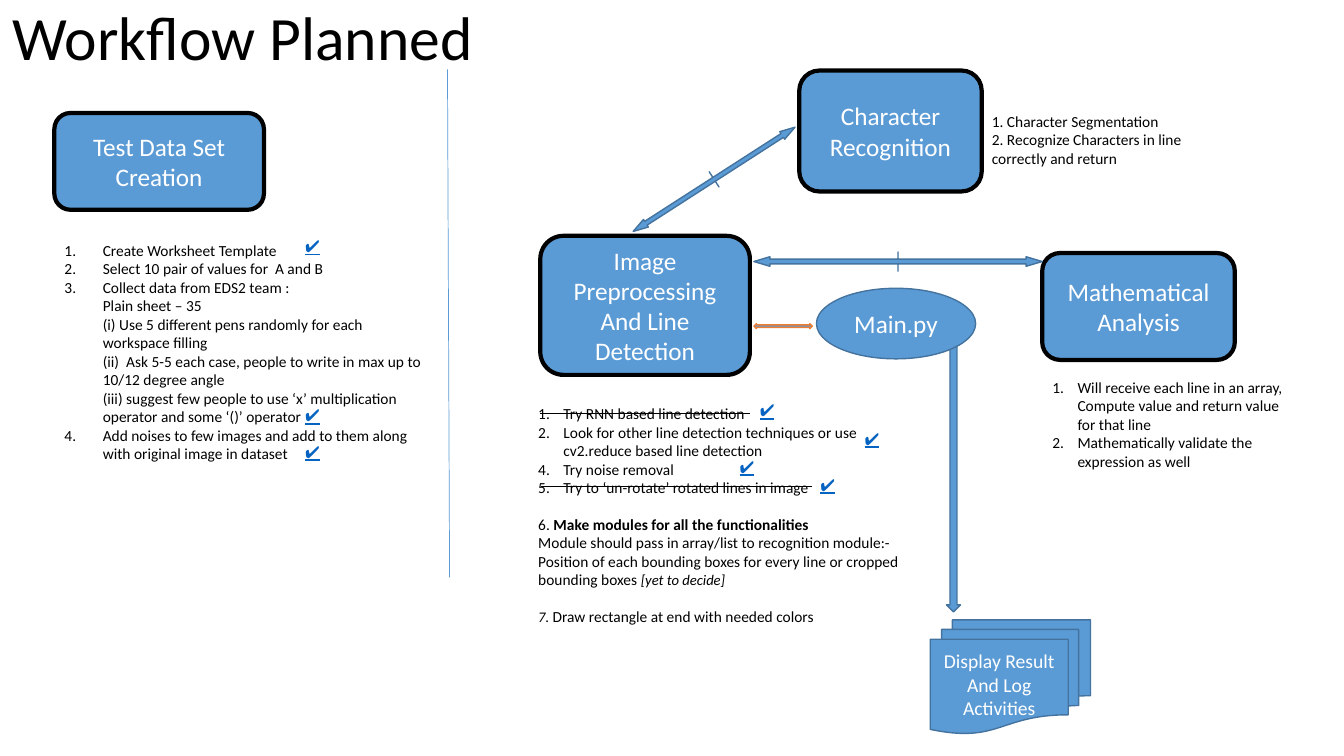
from lxml import etree
from pptx import Presentation
from pptx import util as u
from pptx.dml.color import RGBColor
from pptx.enum import shapes, text
from pptx.oxml import ns

BLUE = RGBColor(0x5B, 0x9B, 0xD5)
DARK_BLUE = RGBColor(0x43, 0x73, 0x9E)
ORANGE = RGBColor(0xED, 0x7D, 0x31)
LINK_BLUE = RGBColor(0x05, 0x63, 0xC1)
BLACK = RGBColor(0, 0, 0)
WHITE = RGBColor(0xFF, 0xFF, 0xFF)
COLUMNS, ROWS = 64, 36
SHAPE = shapes.MSO_SHAPE


class WorkflowSlide:
    font_name = "Calibri"

    def __init__(self, presentation):
        self.column = presentation.slide_width / COLUMNS
        self.row = presentation.slide_height / ROWS
        self.slide = presentation.slides.add_slide(presentation.slide_layouts[4])

    def grid(self, *lengths):
        units = (self.column, self.row) * 2
        return [u.Emu(round(length * unit)) for length, unit in zip(lengths, units)]

    def style(self, paragraph, size, color, align=text.PP_ALIGN.LEFT):
        paragraph.alignment = align
        paragraph.space_before = u.Pt(0)
        font = paragraph.font
        font.name = self.font_name
        font.size = u.Pt(size)
        font.color.rgb = color
        return font

    def number(self, paragraph, start, indent):
        properties = paragraph._p.get_or_add_pPr()
        hanging = u.Inches(indent) if start else 0
        properties.set("marL", str(hanging))
        properties.set("indent", str(-hanging))
        if start:
            bullet = etree.SubElement(properties, ns.qn("a:buAutoNum"), type="arabicPeriod")
            if start > 1:
                bullet.set("startAt", str(start))
        else:
            etree.SubElement(properties, ns.qn("a:buNone"))

    def placeholder(self, index, box):
        shape = self.slide.placeholders[index]
        shape.left, shape.top, shape.width, shape.height = self.grid(*box)
        frame = shape.text_frame
        frame.auto_size = text.MSO_AUTO_SIZE.NONE
        frame.vertical_anchor = text.MSO_ANCHOR.TOP
        return frame

    def title(self, words, box):
        frame = self.placeholder(0, box)
        frame.word_wrap = False
        frame.text = words
        self.style(frame.paragraphs[0], 44, BLACK, text.PP_ALIGN.CENTER)

    def steps(self, index, box, items, indent=0.25):
        frame = self.placeholder(index, box)
        frame.word_wrap = True
        for position, (start, words, gap) in enumerate(items):
            paragraph = frame.paragraphs[0] if position == 0 else frame.add_paragraph()
            self.number(paragraph, start, indent)
            self.style(paragraph, 11, BLACK).bold = False
            paragraph.space_before = u.Pt(gap)
            if isinstance(words, str):
                paragraph.text = words
                continue
            for piece, bold, italic in words:
                run = paragraph.add_run()
                run.text = piece
                run.font.bold = bold
                run.font.italic = italic
                if italic:
                    run.font.size = u.Pt(10.5)

    def block(self, kind, box, words="", size=18, outline=DARK_BLUE, weight=1):
        shape = self.slide.shapes.add_shape(kind, *self.grid(*box))
        shape.shadow.inherit = False
        shape.fill.solid()
        shape.fill.fore_color.rgb = BLUE
        shape.line.color.rgb = outline
        shape.line.width = u.Pt(weight)
        if words:
            frame = shape.text_frame
            frame.word_wrap = True
            frame.vertical_anchor = text.MSO_ANCHOR.MIDDLE
            frame.text = words
            for paragraph in frame.paragraphs:
                self.style(paragraph, size, WHITE, text.PP_ALIGN.CENTER)
        return shape

    def stage(self, box, words):
        self.block(SHAPE.ROUNDED_RECTANGLE, box, words, outline=BLACK, weight=3)

    def exchange(self, box, rotation=0):
        arrow = self.block(SHAPE.LEFT_RIGHT_ARROW_CALLOUT, box)
        arrow.rotation = rotation
        for index, value in enumerate((0.25, 0.25, 0.84, 0)):
            arrow.adjustments[index] = value

    def line(self, start, end, color):
        connector = self.slide.shapes.add_connector(
            shapes.MSO_CONNECTOR.STRAIGHT, *self.grid(*start, *end))
        connector.line.color.rgb = color
        connector.line.width = u.Pt(0.5)
        etree.SubElement(connector._element.spPr, ns.qn("a:effectLst"))

    def tick(self, left, top):
        box = self.slide.shapes.add_textbox(*self.grid(left, top, 2.21, 2.4))
        box.text_frame.word_wrap = True
        box.text_frame.text = "✔"
        self.style(box.text_frame.paragraphs[0], 12, LINK_BLUE).underline = True


def main():
    presentation = Presentation()
    presentation.slide_width = u.Inches(13.33)
    presentation.slide_height = u.Inches(7.5)
    workflow = WorkflowSlide(presentation)

    workflow.title("Workflow Planned", (0, -0.29, 23.14, 4.03))
    workflow.steps(1, (2.59, 11.23, 18.53, 12.91), [
        (1, "Create Worksheet Template", 0),
        (1, "Select 10 pair of values for  A and B", 0),
        (1, "Collect data from EDS2 team :\vPlain sheet – 35\v"
            "(i) Use 5 different pens randomly for each workspace filling\v"
            "(ii)  Ask 5-5 each case, people to write in max up to\v"
            "10/12 degree angle\v"
            "(iii) suggest few people to use ‘x’ multiplication operator "
            "and some ‘()’ operator", 0),
        (1, "Add noises to few images and add to them along "
            "with original image in dataset", 0),
    ], indent=0.38)
    workflow.steps(2, (25.15, 19.01, 18.53, 11.95), [
        (1, "Try RNN based line detection", 0),
        (1, "Look for other line detection techniques or use "
            "cv2.reduce based line detection", 0),
        (4, "Try noise removal", 0),
        (4, "Try to ‘un-rotate’ rotated lines in image", 0),
        (0, [("6. ", False, False),
             ("Make modules for all the functionalities", True, False)], 13),
        (0, "Module should pass in array/list to recognition module:-", 0),
        (0, [("Position of each bounding boxes for every line or cropped "
              "bounding boxes ", False, False),
             ("[yet to decide]", False, True)], 0),
        (0, [("7. ", False, True),
             ("Draw rectangle at end with needed colors", False, False)], 13),
    ])
    workflow.steps(3, (46.75, 5.09, 13.1, 3.17), [
        (0, "1. Character Segmentation", 0),
        (0, "2. Recognize Characters in line\vcorrectly and return", 0),
    ])
    workflow.steps(4, (49.63, 17.76, 12.29, 4.94), [
        (1, "Will receive each line in an array,\v"
            "Compute value and return value for that line", 0),
        (1, "Mathematically validate the expression as well", 0),
    ])

    workflow.block(SHAPE.DOWN_ARROW, (45.07, 16.32, 0.67, 12.82))
    for box, words in (
        ((2.59, 5.38, 9.98, 4.61), "Test Data Set Creation"),
        ((25.73, 11.23, 9.98, 6.62), "Image Preprocessing\nAnd Line Detection"),
        ((38.06, 3.36, 8.69, 5.76), "Character Recognition"),
        ((49.63, 12.05, 9.17, 5.09), "Mathematical Analysis"),
    ):
        workflow.stage(box, words)
    workflow.block(SHAPE.OVAL, (38.88, 13.73, 7.58, 3.36), "Main.py")
    workflow.block(SHAPE.LEFT_RIGHT_ARROW, (35.9, 15.41, 2.78, 0.24), outline=ORANGE)
    workflow.exchange((29.42, 8.11, 9.17, 0.86), rotation=327.2)
    workflow.exchange((35.9, 12, 13.73, 0.91))
    workflow.block(SHAPE.FLOWCHART_MULTIDOCUMENT, (44.3, 29.52, 7.63, 5.42),
                   "Display Result\nAnd Log Activities", size=14)

    workflow.line((21.31, 3.31), (21.41, 27.5), BLUE)
    workflow.line((25.73, 19.68), (35.71, 19.68), BLACK)
    workflow.line((25.78, 23.18), (38.69, 23.18), BLACK)
    for left, top in ((35.71, 18.82), (40.7, 20.16), (34.75, 21.5), (38.59, 22.37),
                      (14.06, 20.78), (14.06, 19.06), (14.06, 10.99)):
        workflow.tick(left, top)

    presentation.save("out.pptx")


if __name__ == "__main__":
    main()
